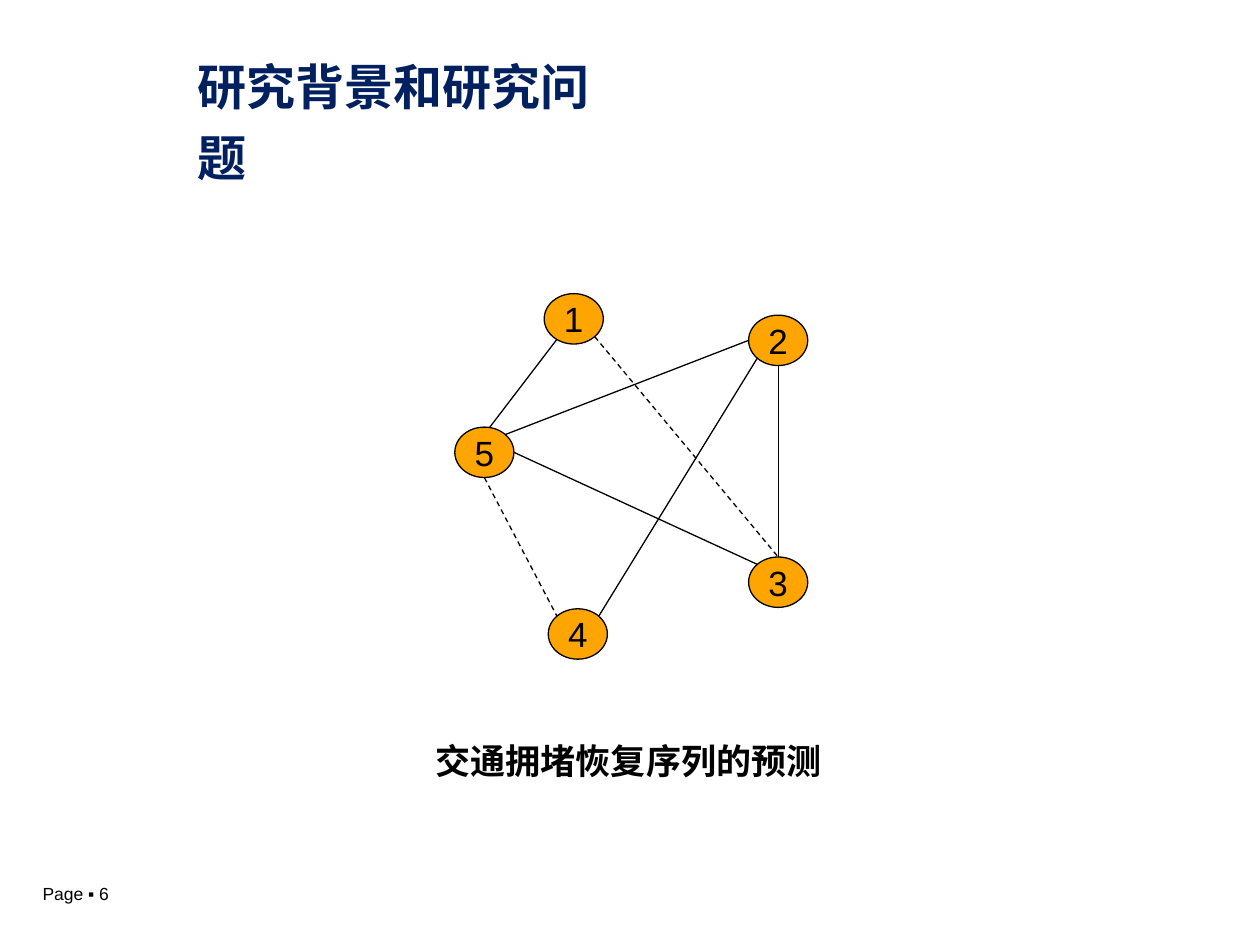
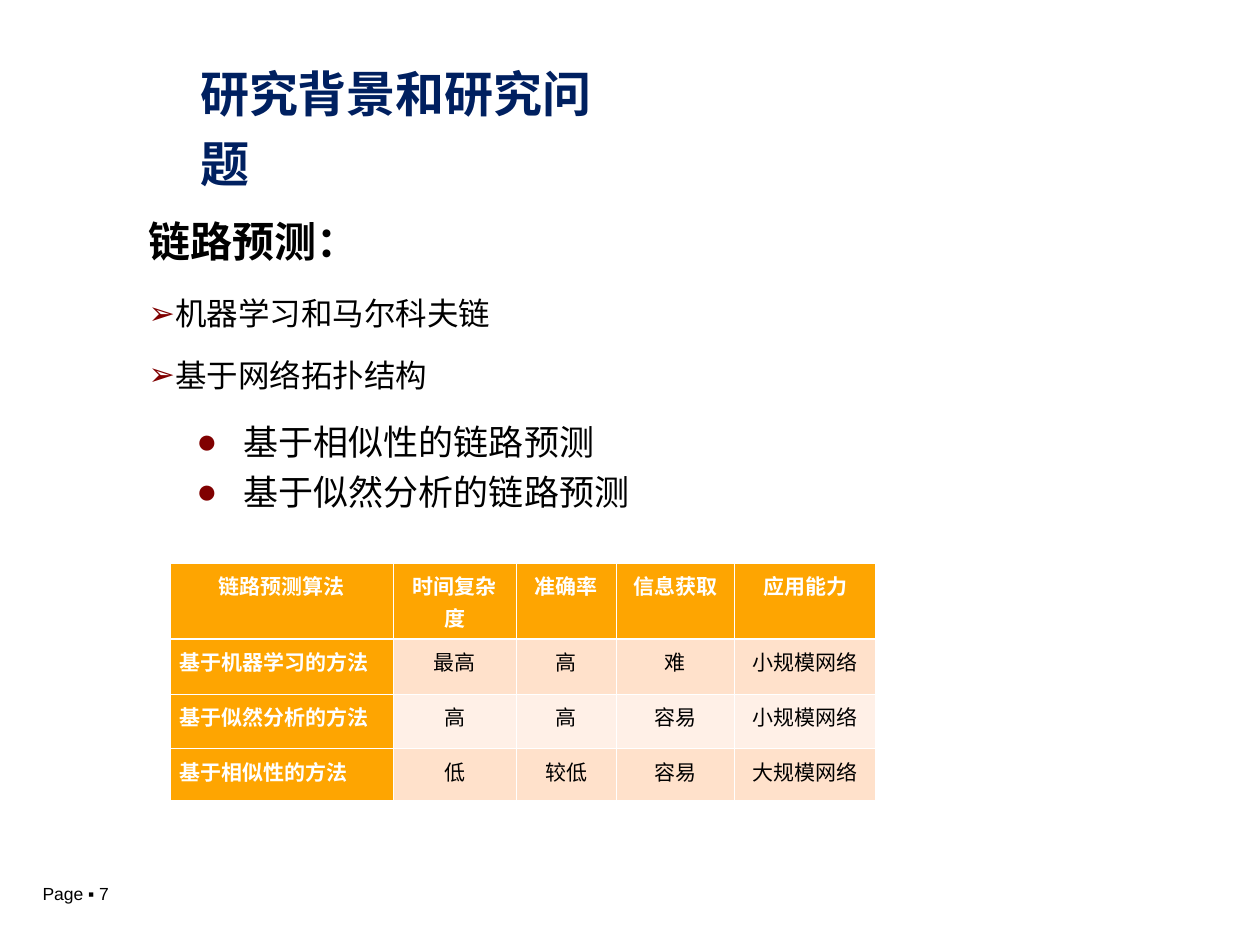
from math import cos, radians, sin

from lxml import etree
from pptx import Presentation
from pptx.dml.color import RGBColor
from pptx.enum import dml, shapes, text
from pptx.oxml import ns
from pptx.util import Pt

# Shared look
NAVY = RGBColor(0x00, 0x20, 0x60)
BLACK = RGBColor(0x00, 0x00, 0x00)
WHITE = RGBColor(0xFF, 0xFF, 0xFF)
AMBER = RGBColor(0xFE, 0xA5, 0x01)
PEACH = RGBColor(0xFF, 0xE1, 0xCB)
CREAM = RGBColor(0xFF, 0xF0, 0xE7)
MAROON = RGBColor(0x80, 0x00, 0x00)
FONT = "Arial"
INSET = (7.2, 3.6)
TITLE = "研究背景和研究问题"

# Road network: node centres, then edges as (node, angle, node, angle, dashed);
# angles run clockwise from the right
NODE_W, NODE_H = 33.8, 28.8
NODES = {
    1: (327.9, 182.2),
    2: (444.7, 194.5),
    3: (444.7, 332.7),
    4: (330.2, 362.3),
    5: (276.8, 258.5),
}
EDGES = [
    (1, 125, 5, 280, False),
    (5, 90, 4, 225, True),
    (5, 0, 3, 225, False),
    (2, 135, 4, 315, False),
    (2, 90, 3, 270, False),
    (5, 315, 2, 180, False),
    (1, 45, 3, 270, True),
]

# Comparison of methods
COLS = [127.4, 70.6, 56.9, 67.7, 80.6]
ROWS = [37.4, 31.7, 31, 29.5]
DATA = [
    ["链路预测算法", "时间复杂度", "准确率", "信息获取", "应用能力"],
    ["基于机器学习的方法", "最高", "高", "难", "小规模网络"],
    ["基于似然分析的方法", "高", "高", "容易", "小规模网络"],
    ["基于相似性的方法", "低", "较低", "容易", "大规模网络"],
]


def add(parent, tag, **attrs):
    return etree.SubElement(parent, ns.qn(tag), attrs)


def mark(para, char, indent):
    """Give a paragraph a maroon bullet."""
    props = para._p.get_or_add_pPr()
    props.set("marL", str(Pt(indent)))
    props.set("indent", str(-Pt(indent)))
    add(add(props, "a:buClr"), "a:srgbClr", val=str(MAROON))
    add(props, "a:buFont", typeface=FONT)
    add(props, "a:buChar", char=char)


def write(frame, words, size=20, color=BLACK, bold=False, font=FONT, line=None,
          after=0, align=text.PP_ALIGN.LEFT, bullet=None, indent=0, more=False):
    """Write one paragraph; more=True adds it below what is there."""
    para = frame.add_paragraph() if more else frame.paragraphs[0]
    if bullet:
        mark(para, bullet, indent)
    para.alignment = align
    para.line_spacing = line
    para.space_after = Pt(after)
    run = para.add_run()
    run.text = words
    run.font.name = font
    run.font.size = Pt(size)
    run.font.bold = bold
    run.font.color.rgb = color


def pad(frame, side, top):
    frame.margin_left = frame.margin_right = Pt(side)
    frame.margin_top = frame.margin_bottom = Pt(top)


def box(slide, left, top, width, height, wrap=True, inset=INSET):
    frame = slide.shapes.add_textbox(
        Pt(left), Pt(top), Pt(width), Pt(height)).text_frame
    frame.word_wrap = wrap
    pad(frame, *inset)
    return frame


def page(deck, number, left, top):
    """Start a blank slide with its title and page number."""
    slide = deck.slides.add_slide(deck.slide_layouts[6])
    write(box(slide, 17.3, 501.1, 105.8, 19.4), f"Page ▪ {number}", size=10)
    write(box(slide, left, top, 265.7, 47.5, wrap=False), TITLE,
          size=28, color=NAVY, bold=True, line=1.2)
    return slide


def node(slide, name, x, y):
    oval = slide.shapes.add_shape(
        shapes.MSO_SHAPE.OVAL, Pt(x - NODE_W / 2), Pt(y - NODE_H / 2),
        Pt(NODE_W), Pt(NODE_H))
    oval.shadow.inherit = False
    oval.fill.solid()
    oval.fill.fore_color.rgb = AMBER
    oval.line.color.rgb = BLACK
    oval.line.width = Pt(0.75)
    frame = oval.text_frame
    frame.word_wrap = False
    frame.vertical_anchor = text.MSO_ANCHOR.MIDDLE
    pad(frame, *INSET)
    write(frame, str(name), align=text.PP_ALIGN.CENTER)


def rim(name, angle):
    """Point on a node's outline."""
    x, y = NODES[name]
    turn = radians(angle)
    return Pt(x + NODE_W / 2 * cos(turn)), Pt(y + NODE_H / 2 * sin(turn))


def edge(slide, start, out, end, into, dashed):
    link = slide.shapes.add_connector(
        shapes.MSO_CONNECTOR.STRAIGHT, *rim(start, out), *rim(end, into))
    link.line.color.rgb = BLACK
    link.line.width = Pt(0.75)
    if dashed:
        link.line.dash_style = dml.MSO_LINE.DASH
    add(link._element.spPr, "a:effectLst")


def border(cell, row):
    """White rules, thicker under the header row."""
    props = cell._tc.get_or_add_tcPr()
    for side in "LRTB":
        thick = (row, side) in [(0, "B"), (1, "T")]
        rule = add(props, f"a:ln{side}", w=str(Pt(1.47 if thick else 0.45)))
        add(add(rule, "a:solidFill"), "a:srgbClr", val=str(WHITE))


def grid(slide, left, top):
    table = slide.shapes.add_table(
        len(ROWS), len(COLS), Pt(left), Pt(top),
        Pt(sum(COLS)), Pt(sum(ROWS))).table
    table.horz_banding = False
    for col, width in zip(table.columns, COLS):
        col.width = Pt(width)
    for r, height in enumerate(ROWS):
        table.rows[r].height = Pt(height)
        for c, words in enumerate(DATA[r]):
            cell = table.cell(r, c)
            head = r == 0 or c == 0
            border(cell, r)
            cell.fill.solid()
            cell.fill.fore_color.rgb = (
                AMBER if head else PEACH if r % 2 else CREAM)
            cell.margin_left = cell.margin_right = Pt(5.4)
            cell.margin_top = cell.margin_bottom = Pt(3.6)
            left_side = r > 0 and c == 0
            write(cell.text_frame, words, size=12, bold=head,
                  color=WHITE if head else BLACK, line=Pt(18), after=12,
                  align=text.PP_ALIGN.LEFT if left_side
                  else text.PP_ALIGN.CENTER)


def network(deck):
    slide = page(deck, 6, 105.8, 22.3)
    for name, (x, y) in NODES.items():
        node(slide, name, x, y)
    for link in EDGES:
        edge(slide, *link)
    write(box(slide, 241.9, 419, 234.7, 31.7, wrap=False),
          "交通拥堵恢复序列的预测", bold=True, font="Times New Roman")


def methods(deck):
    slide = page(deck, 7, 107.3, 25.9)
    # Main points
    body = box(slide, 85, 117.4, 624.2, 340.6, inset=(0, 0))
    write(body, "链路预测：", size=24, bold=True, line=1.2, after=12)
    for words in ["机器学习和马尔科夫链", "基于网络拓扑结构"]:
        write(body, words, size=18, line=1.2, after=9, bullet="➢", more=True)
    # Sub-points
    subs = box(slide, 105.1, 231.8, 288.7, 89.3)
    for i, words in enumerate(["基于相似性的链路预测", "基于似然分析的链路预测"]):
        write(subs, words, line=1.2, bullet="●", indent=27, more=i > 0)
    grid(slide, 97.2, 321.8)


def main():
    deck = Presentation()
    deck.slide_width, deck.slide_height = Pt(720), Pt(540)
    network(deck)
    methods(deck)
    deck.save("out.pptx")


if __name__ == "__main__":
    main()
